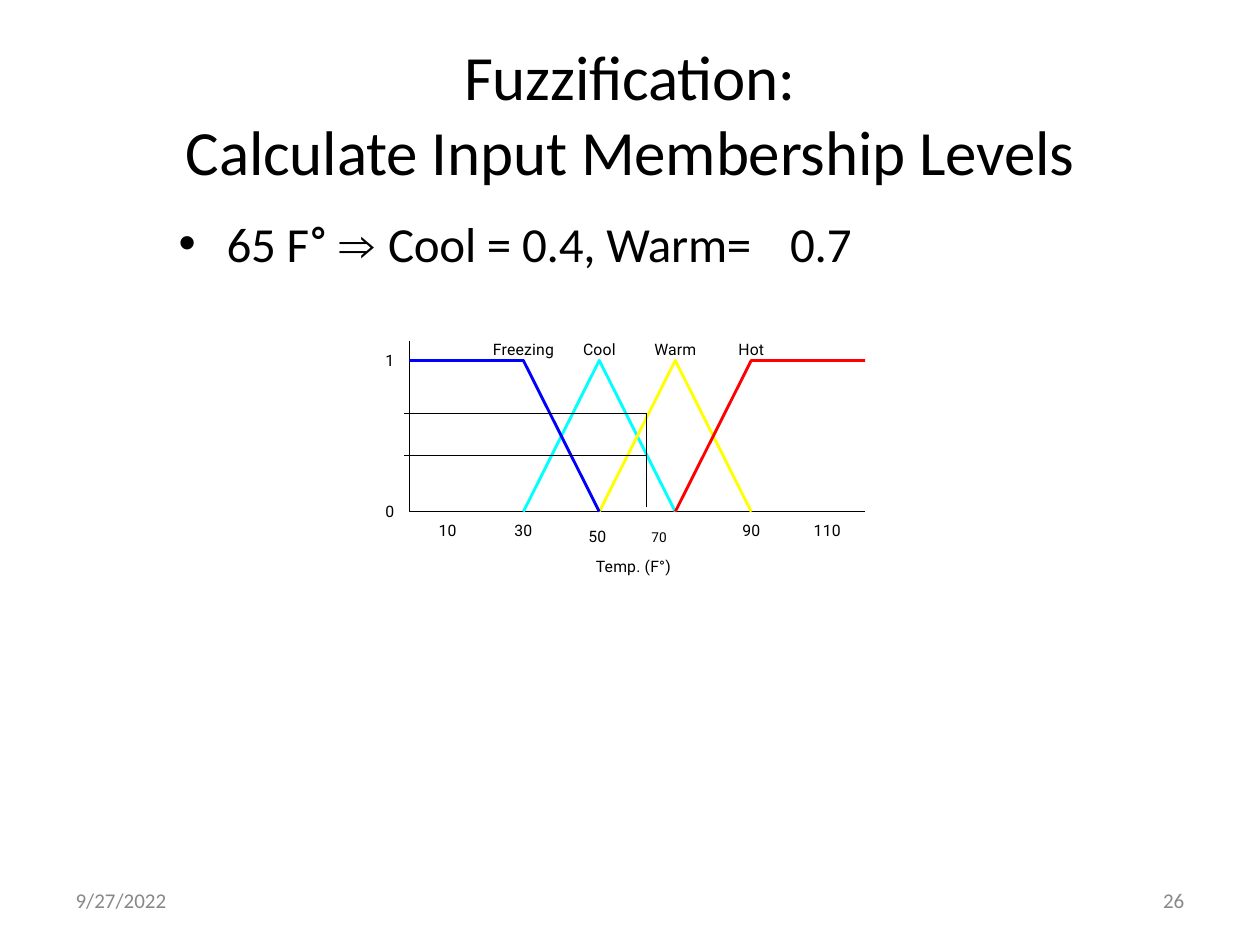
from lxml import etree
from pptx import Presentation
from pptx.dml.color import RGBColor
from pptx.enum.text import MSO_ANCHOR, MSO_AUTO_SIZE, PP_ALIGN
from pptx.oxml.ns import qn
from pptx.util import Pt

BLACK = RGBColor(0x00, 0x00, 0x00)
GREY = RGBColor(0x88, 0x88, 0x88)
BLUE = RGBColor(0x00, 0x00, 0xFF)
CYAN = RGBColor(0x00, 0xFF, 0xFF)
YELLOW = RGBColor(0xFF, 0xFF, 0x00)
RED = RGBColor(0xFF, 0x00, 0x00)

# Chart scale: temperature across, membership level up
X0, PER_DEGREE = 234, 2.17
Y0, PER_LEVEL = 292.4, 86.4


def write(sp, runs, size=9, font="Roboto", color=BLACK, align=PP_ALIGN.LEFT, wrap=True,
          top=0, before=0, line=None, left=0, indent=0, tab=None, bullet=None, spacing=0):
    """Append one paragraph; runs are (text, font, size, baseline), all but text optional."""
    tf = sp.text_frame
    tf.word_wrap, tf.auto_size = wrap, MSO_AUTO_SIZE.NONE
    tf.vertical_anchor = MSO_ANCHOR.TOP
    tf.margin_left = tf.margin_right = tf.margin_bottom = 0
    tf.margin_top = Pt(top)
    p = tf.add_paragraph() if tf.text else tf.paragraphs[0]
    p.alignment, p.space_before = align, Pt(before)
    if line:
        p.line_spacing = Pt(line)
    pPr = p._p.get_or_add_pPr()
    pPr.set("marL", str(Pt(left)))
    pPr.set("indent", str(Pt(indent)))
    if bullet:
        etree.SubElement(pPr, qn("a:buFont"), typeface="Arial")
        etree.SubElement(pPr, qn("a:buChar"), char=bullet)
    if tab:
        tabs = etree.SubElement(pPr, qn("a:tabLst"))
        etree.SubElement(tabs, qn("a:tab"), pos=str(Pt(tab)), algn="l")
    for text, *own in runs:
        run_font, run_size, baseline = own + [None] * (3 - len(own))
        r = p.add_run()
        r.text = text
        r.font.name, r.font.size = run_font or font, Pt(run_size or size)
        r.font.color.rgb = color
        rPr = r._r.get_or_add_rPr()
        if spacing:
            rPr.set("spc", str(round(spacing * 100)))
        if baseline:
            rPr.set("baseline", str(baseline * 1000))


def draw(paths, color, width):
    """Draw open paths of (temperature, level) points as one outline."""
    points = [[(Pt(X0 + t * PER_DEGREE), Pt(Y0 - m * PER_LEVEL)) for t, m in path]
              for path in paths]
    fb = s.shapes.build_freeform(*points[0][0], scale=1.0)
    for i, (start, *rest) in enumerate(points):
        if i:
            fb.move_to(*start)
        fb.add_line_segments(rest, close=False)
    sp = fb.convert_to_shape()
    sp.shadow.inherit = False
    sp.fill.background()
    sp.line.color.rgb, sp.line.width = color, Pt(width)


prs = Presentation()
prs.slide_width, prs.slide_height = Pt(720), Pt(540)
s = prs.slides.add_slide(prs.slide_layouts[5])

# Title and statement
title = s.shapes.title
title.left, title.top, title.width, title.height = Pt(103.7), Pt(20.2), Pt(512.6), Pt(88.6)
for text, before in (("Fuzzification:", 1), ("Calculate Input Membership Levels", 0)):
    write(title, [(text,)], size=36, font="Calibri", align=PP_ALIGN.CENTER,
          top=1, before=before, spacing=-0.1)

statement = s.shapes.add_textbox(Pt(101.5), Pt(121), Pt(386.6), Pt(35.3))
write(statement, [("65 F",), ("° ", "Roboto"), ("⇒ ", "Arial"), ("Cool = 0.4, Warm=\t0.7",)],
      size=28, font="Calibri", top=1, before=0.9, left=28, indent=-27.4, tab=350,
      bullet="•", spacing=-0.1)

# Axes and membership curves
draw([[(0, 1.13), (0, 0), (120, 0)]], BLACK, 0.55)
for curve, color in (
    ([(30, 0), (50, 1), (70, 0)], CYAN),
    ([(50, 0), (70, 1), (90, 0)], YELLOW),
    ([(50, 0), (30, 1), (0, 1)], BLUE),
    ([(70, 0), (90, 1), (120, 1)], RED),
):
    draw([curve], color, 1.65)

# Reading of the input value on both curves
READ_T, AXIS_T = 62.4, -1.3
draw([[(READ_T, 0.03), (READ_T, 0.65)],
      [(READ_T, 0.65), (AXIS_T, 0.65)],
      [(READ_T, 0.37), (AXIS_T, 0.37)]], BLACK, 0.75)

# Chart labels, each centred on its temperature
labels = [(text, t, 193, w) for text, t, w in (
    ("Freezing", 30, 37.4), ("Cool", 50, 20.9), ("Warm", 70, 26.6), ("Hot", 90, 16.6))]
labels += [(str(t), t, 295.9, 6 * len(str(t))) for t in (10, 30, 90, 110)]
labels += [(str(m), -5.2, Y0 - m * PER_LEVEL - 7.2, 7.2) for m in (0, 1)]
for text, t, y, w in labels:
    sp = s.shapes.add_textbox(Pt(X0 + t * PER_DEGREE - w / 2), Pt(y), Pt(w), Pt(13))
    write(sp, [(text,)], align=PP_ALIGN.CENTER, wrap=False, top=1.4, before=1.1, spacing=0.1)

axis_label = s.shapes.add_textbox(Pt(335.5), Pt(290.9), Pt(56.2), Pt(33.8))
write(axis_label, [("50\t",), ("70", "Roboto", 13.5, 3)], top=5.8, before=6, left=0.7,
      tab=44.6, spacing=0.1)
write(axis_label, [("Temp. (F°)",)], top=5.8, before=5, left=5, spacing=0.1)

# Footer
for text, x, w, left in (("9/27/2022", 42.5, 54, 0.7), ("26", 661.7, 18, 2.9)):
    sp = s.shapes.add_textbox(Pt(x), Pt(509), Pt(w), Pt(14.4))
    write(sp, [(text,)], size=12, font="Calibri", color=GREY, line=12.4, left=left)

prs.save("out.pptx")
